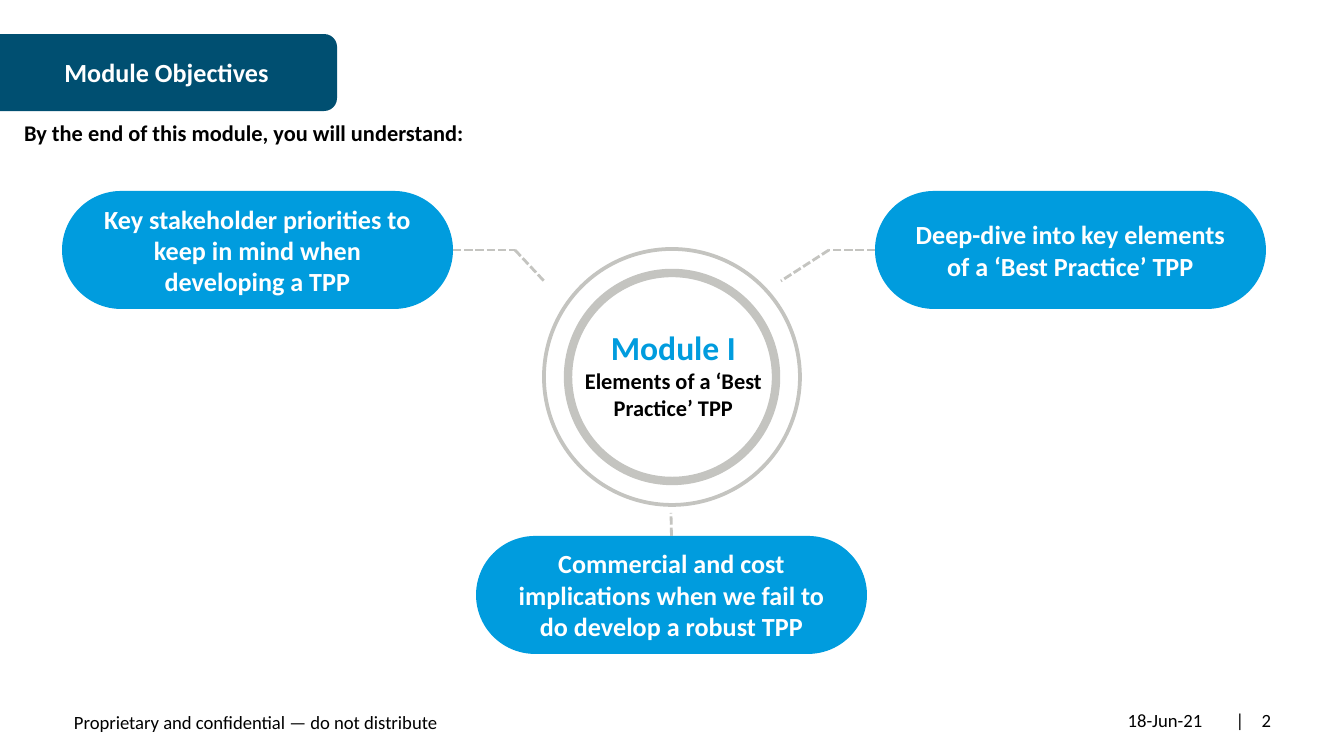
from lxml import etree
from pptx import Presentation
from pptx.dml.color import RGBColor
from pptx.enum.dml import MSO_LINE
from pptx.enum.shapes import MSO_CONNECTOR, MSO_SHAPE
from pptx.enum.text import MSO_ANCHOR as ANCHOR, PP_ALIGN as ALIGN
from pptx.oxml.ns import qn
from pptx.util import Pt

PX = 914400 / 134.4  # EMU per px
BLUE = RGBColor(0x00, 0x9C, 0xDE)
NAVY = RGBColor(0x00, 0x4F, 0x71)
GREY = RGBColor(0xC4, 0xC4, 0xC0)
BLACK = RGBColor(0x00, 0x00, 0x00)
WHITE = RGBColor(0xFF, 0xFF, 0xFF)


def px(*lengths):
    return [round(length * PX) for length in lengths]


def write(shape, lines, align=ALIGN.CENTER, anchor=ANCHOR.MIDDLE, side_inset=13):
    """Fill a shape with one paragraph per (text, size, colour, bold) line."""
    frame = shape.text_frame
    frame.word_wrap = True
    frame.vertical_anchor = anchor
    frame.margin_left, frame.margin_right = px(side_inset, side_inset)
    for index, (text, size, colour, bold) in enumerate(lines):
        paragraph = frame.add_paragraph() if index else frame.paragraphs[0]
        paragraph.alignment = align
        run = paragraph.add_run()
        run.text = text
        run.font.name = "Calibri"
        run.font.size = Pt(size)
        run.font.bold = bold
        run.font.color.rgb = colour


presentation = Presentation()
presentation.slide_width, presentation.slide_height = px(1344, 756)
slide = presentation.slides.add_slide(presentation.slide_layouts[6])
shapes = slide.shapes

# Title tab, turned so that its rounded end faces right
title = shapes.add_shape(MSO_SHAPE.ROUND_2_SAME_RECTANGLE, *px(130, -96, 77, 337))
title.rotation = 90
title.shadow.inherit = False
title.fill.solid()
title.fill.fore_color.rgb = NAVY
title.line.fill.background()
write(title, [("Module Objectives", 14, WHITE, True)])
title.text_frame._txBody.bodyPr.set("vert", "vert270")

# Rings around the module name
for radius, weight in ((104, 4.5), (128, 2)):
    ring = shapes.add_shape(
        MSO_SHAPE.OVAL, *px(672 - radius, 377 - radius, 2 * radius, 2 * radius))
    ring.shadow.inherit = False
    ring.fill.background()
    ring.line.color.rgb = GREY
    ring.line.width = Pt(weight)

module_name = shapes.add_textbox(*px(582, 320, 183, 109))
write(module_name, [
    ("Module I", 18, BLUE, True),
    ("Elements of a ‘Best Practice’ TPP", 12, BLACK, True),
], anchor=ANCHOR.TOP, side_inset=0)

# Objectives
pills = []
for left, top, text in (
    (62, 191, "Key stakeholder priorities to keep in mind when developing a TPP"),
    (875, 191, "Deep-dive into key elements of a ‘Best Practice’ TPP"),
    (476, 536, "Commercial and cost implications when we fail to do develop a robust TPP"),
):
    pill = shapes.add_shape(MSO_SHAPE.ROUNDED_RECTANGLE, *px(left, top, 391, 118))
    pill.adjustments[0] = 0.5
    pill.shadow.inherit = False
    pill.fill.solid()
    pill.fill.fore_color.rgb = BLUE
    pill.line.fill.background()
    write(pill, [(text, 14, WHITE, True)])
    pills.append(pill)
left_pill, right_pill, bottom_pill = pills

# Dashed links from the pills towards the rings
for start, end, pill, side in (
    ((453, 250), (515, 250), left_pill, 3),
    ((515, 250), (544, 281), None, None),
    ((875, 250), (829, 250), right_pill, 1),
    ((829, 250), (781, 281), None, None),
    ((671, 536), (671, 513), bottom_pill, 0),
):
    link = shapes.add_connector(MSO_CONNECTOR.STRAIGHT, *px(*start, *end))
    if pill is not None:
        link.begin_connect(pill, side)
    link.line.color.rgb = GREY
    link.line.width = Pt(1.5)
    link.line.dash_style = MSO_LINE.SQUARE_DOT
    etree.SubElement(link._element.spPr, qn("a:effectLst"))

# Introduction and footer
for box, text, size, bold, align, anchor, inset in (
    ((11, 113, 473, 40), "By the end of this module, you will understand:",
     12, True, ALIGN.LEFT, ANCHOR.TOP, 13),
    ((74, 708, 449, 32), "Proprietary and confidential — do not distribute",
     10, False, ALIGN.LEFT, ANCHOR.BOTTOM, 0),
    ((1107, 700, 116, 40), "18-Jun-21", 10, False, ALIGN.CENTER, ANCHOR.MIDDLE, 13),
    ((1227, 700, 26, 40), "|", 10, False, ALIGN.CENTER, ANCHOR.MIDDLE, 0),
    ((1253, 700, 18, 40), "2", 10, False, ALIGN.RIGHT, ANCHOR.MIDDLE, 0),
):
    write(shapes.add_textbox(*px(*box)), [(text, size, BLACK, bold)], align, anchor, inset)

presentation.save("out.pptx")
